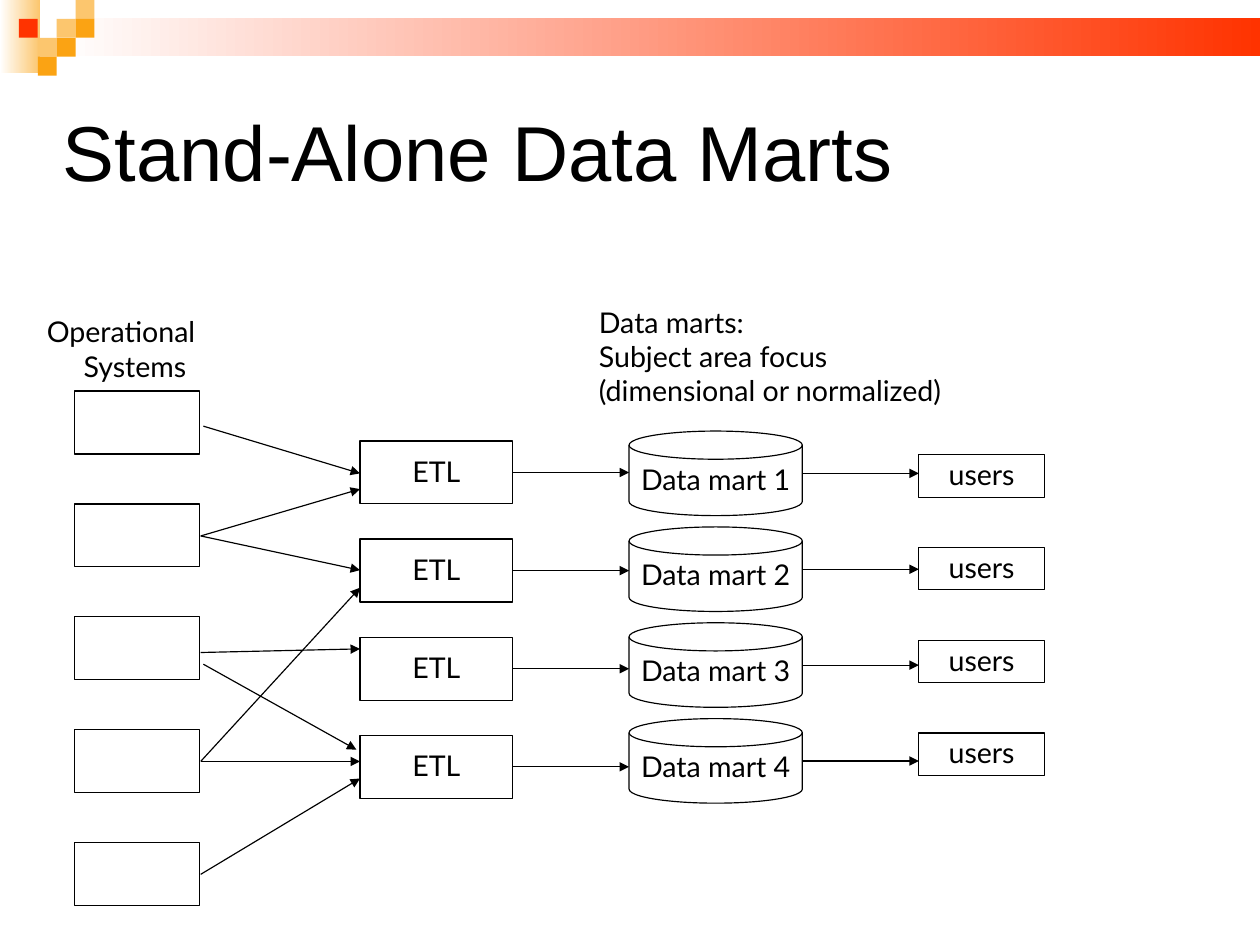
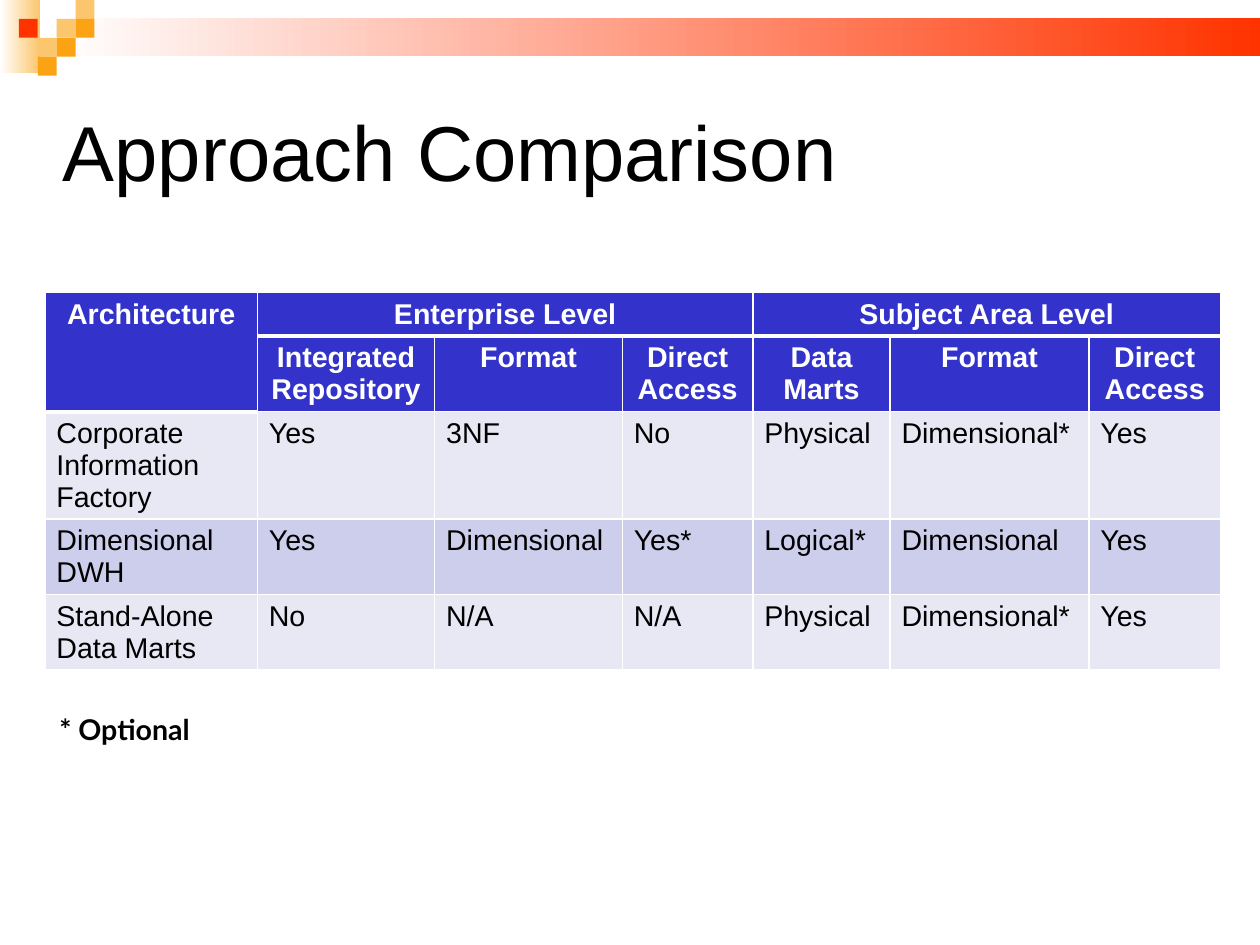
import dataclasses
import typing

import lxml.etree
import pptx
import pptx.dml.color
import pptx.enum.shapes
import pptx.enum.text
import pptx.oxml.ns
import pptx.shapes.autoshape
import pptx.shapes.base
import pptx.slide
import pptx.table
import pptx.text.text
import pptx.util

Cm = pptx.util.Cm
Pt = pptx.util.Pt
RGBColor = pptx.dml.color.RGBColor
PRESET = pptx.enum.shapes.MSO_SHAPE
ALIGN = pptx.enum.text.PP_ALIGN
ANCHOR = pptx.enum.text.MSO_ANCHOR
qn = pptx.oxml.ns.qn

BLACK = RGBColor(0x00, 0x00, 0x00)
WHITE = RGBColor(0xFF, 0xFF, 0xFF)
RED = RGBColor(0xFF, 0x33, 0x00)
ORANGE = RGBColor(0xFB, 0xA3, 0x13)
SAND = RGBColor(0xFC, 0xC6, 0x6E)
HEADER_BLUE = RGBColor(0x33, 0x33, 0xCC)
ROW_LIGHT = RGBColor(0xE8, 0xE8, 0xF5)
ROW_DARK = RGBColor(0xCD, 0xCD, 0xEC)

TITLE_FONT = "Arial"
DIAGRAM_FONT = "Lato"
TILE = 0.42


@dataclasses.dataclass(frozen=True)
class Box:
    left: float
    top: float
    width: float
    height: float

    @property
    def right(self) -> float:
        return self.left + self.width

    @property
    def middle(self) -> float:
        return self.top + self.height / 2

    def lengths(self) -> tuple[int, ...]:
        return tuple(Cm(v) for v in (self.left, self.top, self.width, self.height))


@dataclasses.dataclass(frozen=True)
class Column:
    first: Box
    step: float
    labels: tuple[str, ...]
    preset: PRESET = PRESET.RECTANGLE

    def boxes(self) -> list[Box]:
        return [
            dataclasses.replace(self.first, top=self.first.top + row * self.step)
            for row in range(len(self.labels))
        ]


class Arrow(typing.NamedTuple):
    x1: float
    y1: float
    x2: float
    y2: float


class Tile(typing.NamedTuple):
    column: int
    row: int
    color: RGBColor


GRADIENT_BANDS = (
    (Box(0, 0, 0.89, 1.63), SAND),
    (Box(1.26, 0.41, 26.74, 0.84), RED),
)
TILES = (
    Tile(3, 1, SAND),
    Tile(4, 0, SAND),
    Tile(4, 1, ORANGE),
    Tile(2, 2, SAND),
    Tile(1, 1, RED),
    Tile(3, 2, ORANGE),
    Tile(2, 3, ORANGE),
)

SYSTEMS = Column(Box(1.65, 8.69, 2.79, 1.4), 2.51, ("",) * 5)
ETL = Column(Box(8, 9.8, 3.4, 1.4), 2.18, ("ETL",) * 4)
MARTS = Column(
    Box(13.98, 9.58, 3.85, 1.88),
    2.13,
    tuple(f"Data mart {number}" for number in range(1, 5)),
    PRESET.FLOWCHART_MAGNETIC_DISK,
)
USERS = Column(Box(20.42, 10.11, 2.79, 0.94), 2.06, ("users",) * 4)

EXTRACTS = (
    Arrow(4.52, 9.47, 8, 10.52),
    Arrow(4.46, 11.91, 8, 10.87),
    Arrow(4.46, 11.91, 8, 12.67),
    Arrow(4.46, 14.5, 8, 14.42),
    Arrow(4.52, 14.76, 7.92, 16.66),
    Arrow(4.46, 16.92, 8, 13.06),
    Arrow(4.46, 16.92, 8, 16.92),
    Arrow(4.46, 19.43, 8, 17.3),
)

COLUMN_WIDTHS = (4.72, 3.94, 4.17, 2.9, 3.05, 4.42, 2.92)
ROW_HEIGHTS = (0.97, 1.65, 2.36, 1.65, 1.65)
HEADER_ROWS = 2
COMPARISON = (
    ("Architecture", "Enterprise Level", "", "", "Subject Area Level", "", ""),
    ("", "Integrated\nRepository", "Format", "Direct\nAccess",
     "Data\nMarts", "Format", "Direct\nAccess"),
    ("Corporate Information Factory", "Yes", "3NF", "No",
     "Physical", "Dimensional*", "Yes"),
    ("Dimensional DWH", "Yes", "Dimensional", "Yes*",
     "Logical*", "Dimensional", "Yes"),
    ("Stand-Alone Data Marts", "No", "N/A", "N/A",
     "Physical", "Dimensional*", "Yes"),
)
MERGES = (((0, 0), (1, 0)), ((0, 1), (0, 3)), ((0, 4), (0, 6)))


def write(
    frame: pptx.text.text.TextFrame,
    text: str,
    font: str = DIAGRAM_FONT,
    size: float = 18,
    color: RGBColor = BLACK,
    bold: bool = False,
    align: ALIGN = ALIGN.LEFT,
    spacing: float = 1.0,
) -> None:
    frame.text = text
    frame.word_wrap = True
    for paragraph in frame.paragraphs:
        paragraph.alignment = align
        paragraph.line_spacing = spacing
        for run in paragraph.runs:
            run.font.name = font
            run.font.size = Pt(size)
            run.font.bold = bold
            run.font.color.rgb = color


def clear_insets(frame: pptx.text.text.TextFrame) -> None:
    frame.margin_left = frame.margin_right = 0
    frame.margin_top = frame.margin_bottom = 0
    frame.vertical_anchor = ANCHOR.MIDDLE


def add_plain_shape(
    slide: pptx.slide.Slide, box: Box, preset: PRESET = PRESET.RECTANGLE
) -> pptx.shapes.autoshape.Shape:
    shape = slide.shapes.add_shape(preset, *box.lengths())
    shape.shadow.inherit = False
    shape.line.fill.background()
    return shape


def decorate_master(
    master: pptx.slide.SlideMaster, staging: pptx.slide.Slide
) -> None:
    decorations: list[pptx.shapes.base.BaseShape] = []
    for box, color in GRADIENT_BANDS:
        band = add_plain_shape(staging, box)
        band.fill.gradient()
        band.fill.gradient_angle = 180
        for stop, stop_color in zip(band.fill.gradient_stops, (color, WHITE)):
            stop.color.rgb = stop_color
        decorations.append(band)
    for tile in TILES:
        square = add_plain_shape(
            staging, Box(tile.column * TILE, tile.row * TILE, TILE, TILE)
        )
        square.fill.solid()
        square.fill.fore_color.rgb = tile.color
        decorations.append(square)
    for index, decoration in enumerate(decorations):
        decoration.element.nvSpPr.cNvPr.set("id", str(100 + index))
        master.shapes.element.insert(2 + index, decoration.element)


def set_title(slide: pptx.slide.Slide, text: str) -> None:
    title = slide.shapes.title
    title.left, title.top, title.width, title.height = Box(
        1.4, 1.4, 25.2, 4.19
    ).lengths()
    write(title.text_frame, text, TITLE_FONT, 49, spacing=0.87)
    clear_insets(title.text_frame)


def add_label(
    slide: pptx.slide.Slide, box: Box, text: str, bold: bool = False
) -> pptx.text.text.TextFrame:
    frame = slide.shapes.add_textbox(*box.lengths()).text_frame
    write(frame, text, bold=bold)
    return frame


def draw_column(slide: pptx.slide.Slide, column: Column) -> None:
    for box, label in zip(column.boxes(), column.labels):
        node = add_plain_shape(slide, box, column.preset)
        node.fill.background()
        node.line.color.rgb = BLACK
        node.line.width = Pt(0.75)
        write(node.text_frame, label, align=ALIGN.CENTER, spacing=0.94)
        clear_insets(node.text_frame)


def draw_arrow(slide: pptx.slide.Slide, arrow: Arrow) -> None:
    connector = slide.shapes.add_connector(
        pptx.enum.shapes.MSO_CONNECTOR.STRAIGHT, *(Cm(v) for v in arrow)
    )
    connector.line.color.rgb = BLACK
    connector.line.width = Pt(0.75)
    properties = connector.element.spPr
    lxml.etree.SubElement(properties.find(qn("a:ln")), qn("a:tailEnd"), type="triangle")
    lxml.etree.SubElement(properties, qn("a:effectLst"))


def row_arrows(sources: Column, targets: Column) -> list[Arrow]:
    return [
        Arrow(box.right, box.middle, targets.first.left, box.middle)
        for box in sources.boxes()
    ]


def rule_below(row: int, column: int) -> float:
    return 3 if row == 0 or (row == 1 and column == 0) else 0.96


def set_borders(cell: pptx.table._Cell, above: float, below: float) -> None:
    properties = cell._tc.get_or_add_tcPr()
    widths = {"a:lnL": 0.96, "a:lnR": 0.96, "a:lnT": above, "a:lnB": below}
    for index, (tag, width) in enumerate(widths.items()):
        border = lxml.etree.Element(qn(tag), w=str(Pt(width)))
        fill = lxml.etree.SubElement(border, qn("a:solidFill"))
        lxml.etree.SubElement(fill, qn("a:srgbClr"), val=str(WHITE))
        properties.insert(index, border)


def draw_comparison(slide: pptx.slide.Slide) -> None:
    area = Box(1, 6.5, sum(COLUMN_WIDTHS), sum(ROW_HEIGHTS))
    table = slide.shapes.add_table(
        len(ROW_HEIGHTS), len(COLUMN_WIDTHS), *area.lengths()
    ).table
    for column, width in zip(table.columns, COLUMN_WIDTHS):
        column.width = Cm(width)
    for row, height in zip(table.rows, ROW_HEIGHTS):
        row.height = Cm(height)
    for r, texts in enumerate(COMPARISON):
        header = r < HEADER_ROWS
        tint = HEADER_BLUE if header else (ROW_LIGHT, ROW_DARK)[r % 2]
        for c, text in enumerate(texts):
            cell = table.cell(r, c)
            cell.fill.solid()
            cell.fill.fore_color.rgb = tint
            set_borders(cell, rule_below(r - 1, c) if r else 0.96, rule_below(r, c))
            write(
                cell.text_frame,
                text,
                TITLE_FONT,
                color=WHITE if header else BLACK,
                bold=header,
                align=ALIGN.CENTER if header else ALIGN.LEFT,
            )
    for start, end in MERGES:
        table.cell(*start).merge(table.cell(*end))


def draw_data_marts(slide: pptx.slide.Slide) -> None:
    set_title(slide, "Stand-Alone Data Marts")
    systems = add_label(slide, Box(0.79, 6.86, 4.42, 1.78), "Operational\nSystems")
    systems.paragraphs[1].alignment = ALIGN.CENTER
    add_label(
        slide,
        Box(13.06, 6.65, 9.45, 2.54),
        "Data marts:\nSubject area focus\n(dimensional or normalized)",
    )
    for column in (SYSTEMS, ETL, MARTS, USERS):
        draw_column(slide, column)
    for arrow in (*EXTRACTS, *row_arrows(ETL, MARTS), *row_arrows(MARTS, USERS)):
        draw_arrow(slide, arrow)


def main() -> None:
    deck = pptx.Presentation()
    deck.slide_width, deck.slide_height = Cm(28), Cm(21)
    title_only = deck.slide_layouts[5]
    data_marts = deck.slides.add_slide(title_only)
    decorate_master(deck.slide_master, data_marts)
    draw_data_marts(data_marts)

    comparison = deck.slides.add_slide(title_only)
    set_title(comparison, "Approach Comparison")
    draw_comparison(comparison)
    add_label(comparison, Box(1.07, 15.7, 4.09, 1.02), "* Optional", bold=True)
    deck.save("out.pptx")


if __name__ == "__main__":
    main()
